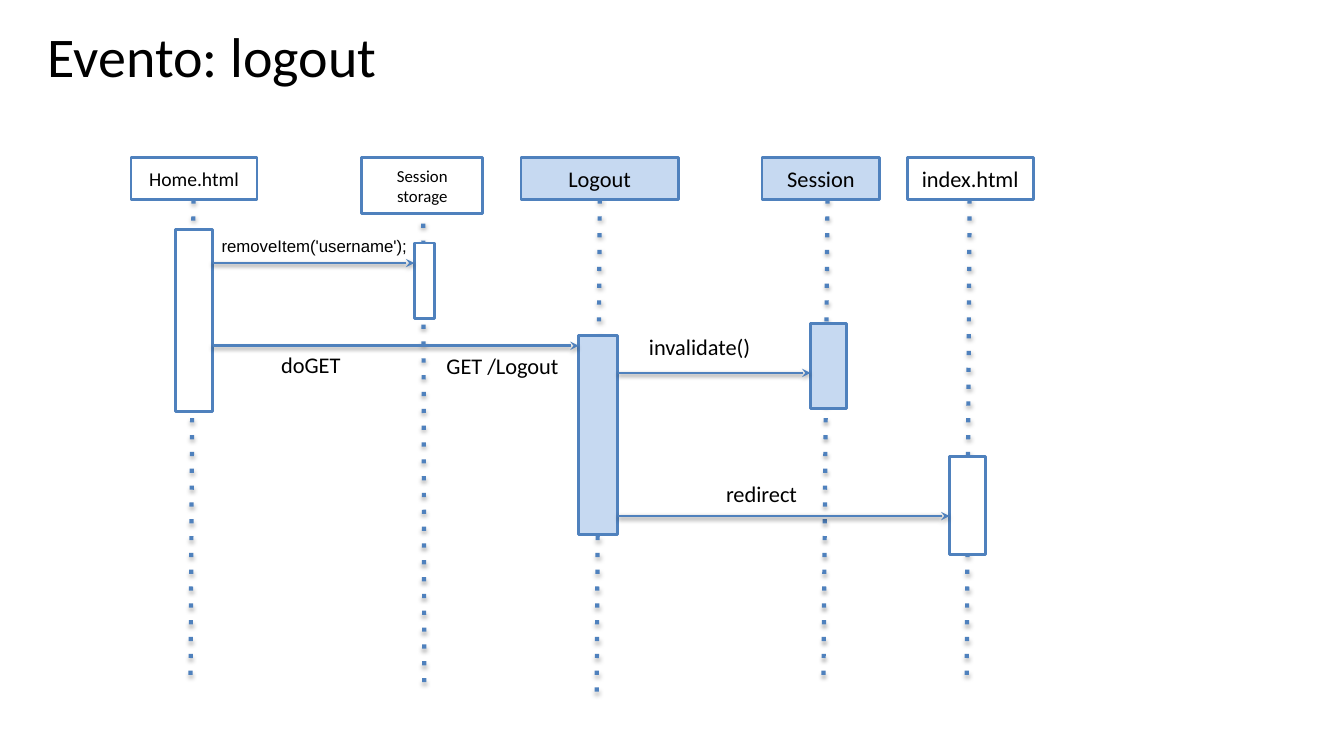
from collections import namedtuple

from lxml import etree
from pptx import Presentation
from pptx.dml.color import RGBColor
from pptx.enum import shapes, text
from pptx.oxml import ns
from pptx.util import Pt

BLACK = RGBColor(0x00, 0x00, 0x00)
WHITE = RGBColor(0xFF, 0xFF, 0xFF)
BLUE = RGBColor(0x4F, 0x81, 0xBD)
PALE_BLUE = RGBColor(0xC6, 0xD9, 0xF1)

Box = namedtuple("Box", "left top width height")
Participant = namedtuple("Participant", "name size fill head lifeline bar")
Message = namedtuple("Message", "sender receiver y")
Label = namedtuple("Label", "wording box align size font", defaults=(16, "Calibri"))

LEFT, CENTER = text.PP_ALIGN.LEFT, text.PP_ALIGN.CENTER

# Positions are in points from the top left corner of the diagram.
# A lifeline is (top x, top y, bottom x, bottom y).
PARTICIPANTS = [
    Participant("Home.html", 14, WHITE, Box(0, 0, 90, 30.2),
                (44.6, 30.2, 42.5, 372.3), Box(31.7, 51.9, 26.6, 129.6)),
    Participant("Session storage", 12, WHITE, Box(164.9, 0, 86.4, 40.3),
                (208.8, 47.5, 209.5, 380.9), Box(202.3, 61.2, 14.4, 54)),
    Participant("Logout", 16, PALE_BLUE, Box(278.6, 0, 112.3, 30.2),
                (334.8, 30.2, 332.6, 383.8), Box(319.7, 127.5, 28.1, 141.8)),
    Participant("Session", 16, PALE_BLUE, Box(450.7, 0, 84.2, 30.2),
                (497.5, 30.2, 494.6, 372.3), Box(485.3, 118.8, 25.9, 60.5)),
    Participant("index.html", 16, WHITE, Box(554.4, 0, 90, 30.2),
                (599, 30.2, 596.9, 372.3), Box(584.6, 213.9, 25.9, 69.8)),
]
MESSAGES = [
    Message("Home.html", "Session storage", 75.6),
    Message("Home.html", "Logout", 134.7),
    Message("Logout", "Session", 154.1),
    Message("Logout", "index.html", 256.3),
]
LABELS = [
    Label("removeItem('username');", Box(57.6, 52.6, 150, 22.3), LEFT, 12, "Arial"),
    Label("doGET", Box(98.6, 133.9, 72.7, 22.3), LEFT),
    Label("GET /Logout", Box(216.7, 134.7, 109.4, 27.4), LEFT),
    Label("invalidate()", Box(361.4, 121.7, 136.8, 24.5), LEFT),
    Label("redirect", Box(360, 226.1, 180.7, 26.6), CENTER),
]


def shift(box, area):
    """Turn a box inside the area into lengths on the slide."""
    return (Pt(area.left + box.left), Pt(area.top + box.top),
            Pt(box.width), Pt(box.height))


def write(shape, wording, size, align, anchor, font="Calibri", margins=(8.6, 4.3)):
    frame = shape.text_frame
    frame.word_wrap = True
    frame.auto_size = text.MSO_AUTO_SIZE.NONE
    frame.vertical_anchor = anchor
    frame.margin_left = frame.margin_right = Pt(margins[0])
    frame.margin_top = frame.margin_bottom = Pt(margins[1])
    paragraph = frame.paragraphs[0]
    paragraph.alignment = align
    run = paragraph.add_run()
    run.text = wording
    run.font.size = Pt(size)
    run.font.name = font
    run.font.color.rgb = BLACK


def add_title(slide, box):
    title = slide.shapes.title
    title.left, title.top, title.width, title.height = map(Pt, box)
    write(title, "Evento: logout", 40, CENTER, text.MSO_ANCHOR.MIDDLE)


def add_rectangle(slide, area, box, fill):
    shape = slide.shapes.add_shape(shapes.MSO_SHAPE.RECTANGLE, *shift(box, area))
    shape.shadow.inherit = False
    shape.fill.solid()
    shape.fill.fore_color.rgb = fill
    shape.line.color.rgb = BLUE
    shape.line.width = Pt(2)
    return shape


def add_line(slide, area, ends, width, detail, opacity, distance):
    """Draw a shadowed line; detail is the (tag, attributes) of its dash or arrowhead."""
    start_x, start_y, end_x, end_y = ends
    line = slide.shapes.add_connector(
        shapes.MSO_CONNECTOR.STRAIGHT,
        Pt(area.left + start_x), Pt(area.top + start_y),
        Pt(area.left + end_x), Pt(area.top + end_y))
    line.line.color.rgb = BLUE
    line.line.width = Pt(width)
    tag, attributes = detail
    etree.SubElement(line.line._get_or_add_ln(), ns.qn(tag), attributes)
    properties = line._element.spPr
    effects = etree.SubElement(properties, ns.qn("a:effectLst"))
    shadow = etree.SubElement(effects, ns.qn("a:outerShdw"), {
        "blurRad": str(Pt(3.1)), "dist": str(Pt(distance)),
        "dir": "5400000", "rotWithShape": "0"})
    color = etree.SubElement(shadow, ns.qn("a:srgbClr"), {"val": str(BLACK)})
    etree.SubElement(color, ns.qn("a:alpha"), {"val": str(opacity * 1000)})


def add_participant(slide, area, participant):
    add_line(slide, area, participant.lifeline, 3,
             ("a:prstDash", {"val": "dot"}), 35, 1.8)
    head = add_rectangle(slide, area, participant.head, participant.fill)
    write(head, participant.name, participant.size, CENTER, text.MSO_ANCHOR.MIDDLE)
    add_rectangle(slide, area, participant.bar, participant.fill)


def add_message(slide, area, message, bars):
    sender = bars[message.sender]
    ends = (sender.left + sender.width, message.y,
            bars[message.receiver].left, message.y)
    add_line(slide, area, ends, 2, ("a:tailEnd", {"type": "stealth"}), 38, 1.6)


def add_label(slide, area, label):
    box = slide.shapes.add_textbox(*shift(label.box, area))
    margins = (7.2, 3.6) if label.font == "Arial" else (8.6, 4.3)
    write(box, label.wording, label.size, label.align,
          text.MSO_ANCHOR.TOP, label.font, margins)


def add_sequence_diagram(slide, area):
    for participant in PARTICIPANTS:
        add_participant(slide, area, participant)
    bars = {participant.name: participant.bar for participant in PARTICIPANTS}
    for message in MESSAGES:
        add_message(slide, area, message, bars)
    for label in LABELS:
        add_label(slide, area, label)


def main():
    presentation = Presentation()
    presentation.slide_width, presentation.slide_height = Pt(960), Pt(540)
    title_only = presentation.slide_layouts[5]
    slide = presentation.slides.add_slide(title_only)
    add_title(slide, Box(14.4, 17.3, 274.3, 43.9))
    add_sequence_diagram(slide, Box(93.6, 112.3, 644.4, 383.8))
    presentation.save("out.pptx")


if __name__ == "__main__":
    main()
